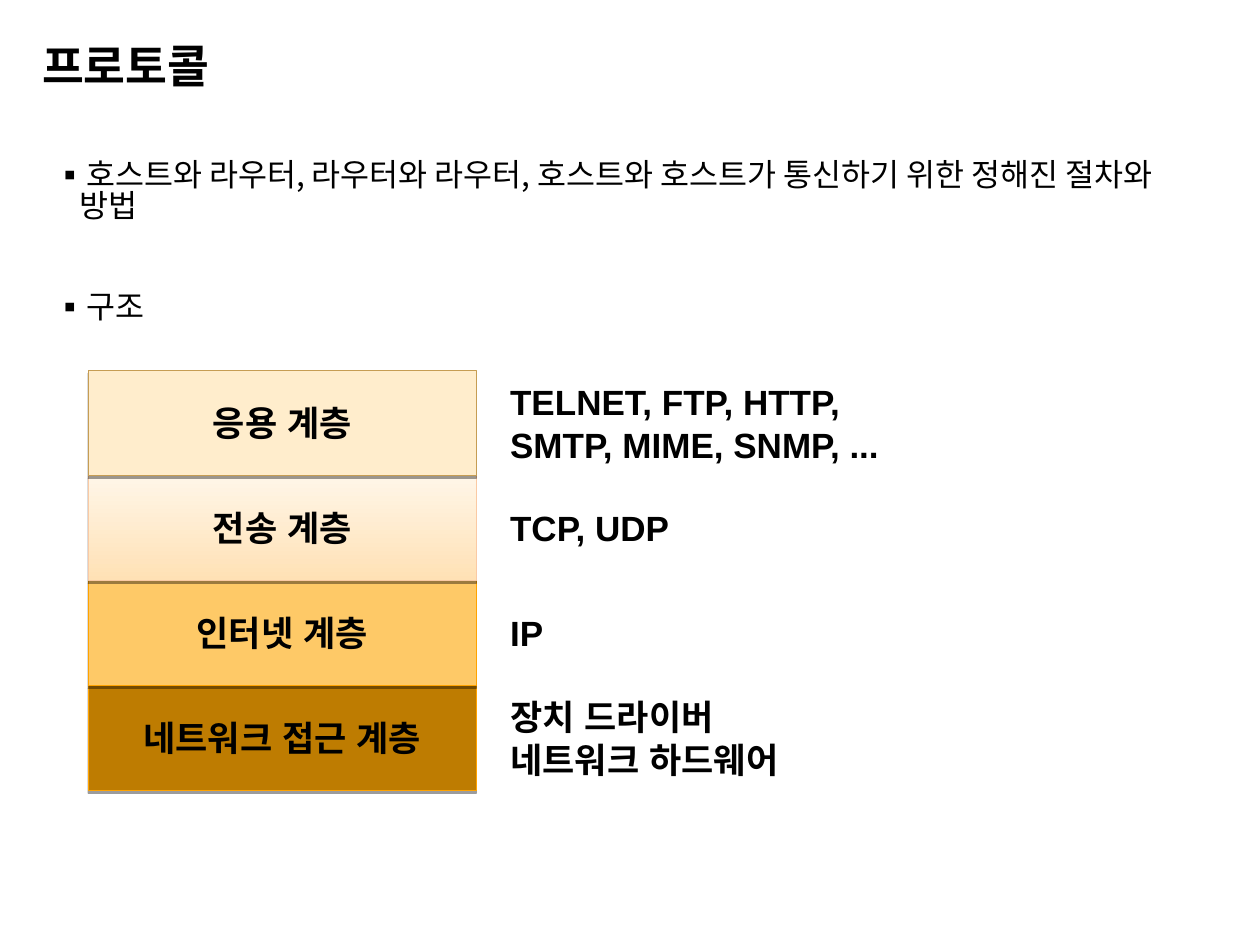
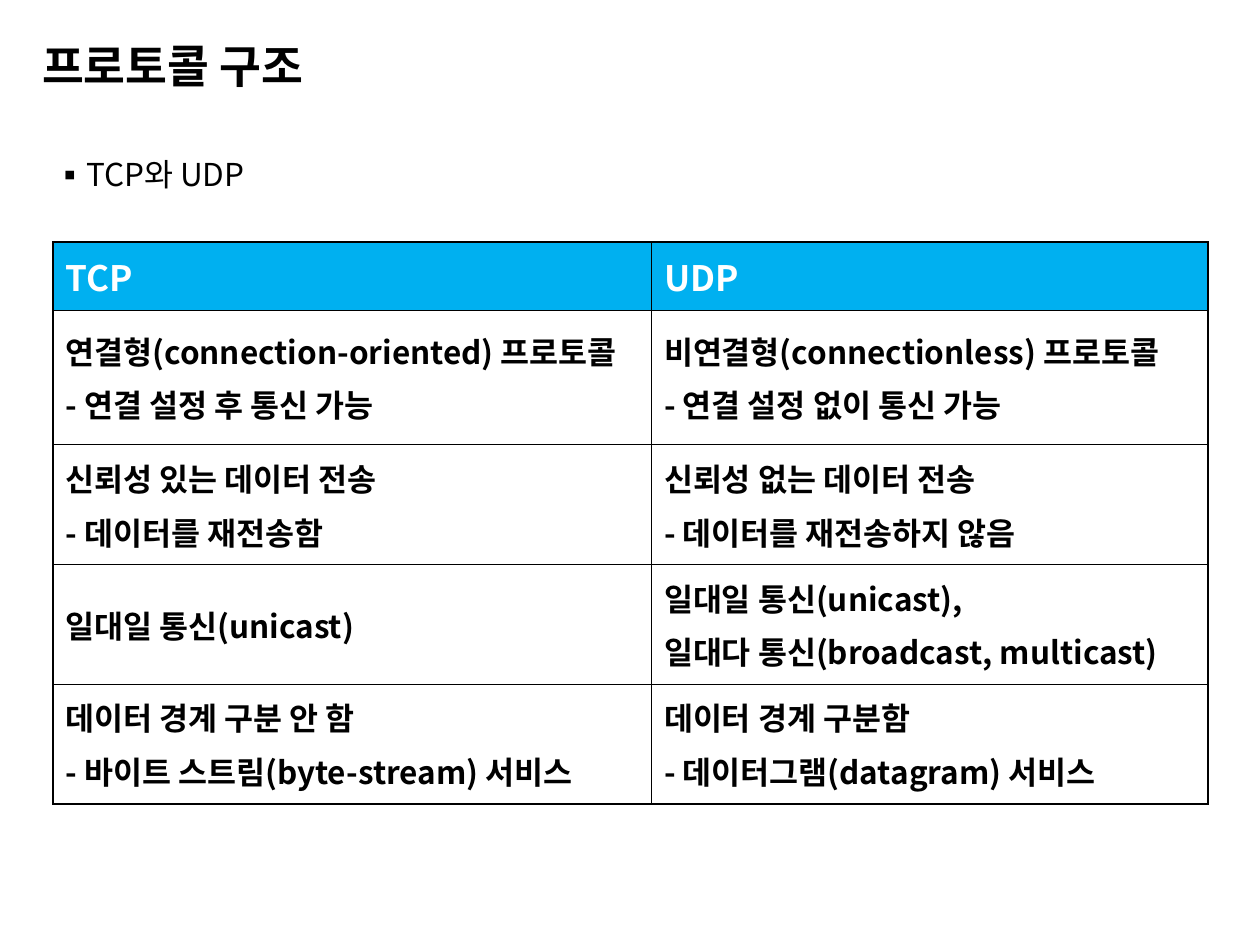
from pptx import Presentation
from pptx.dml.color import RGBColor
from pptx.enum.shapes import MSO_SHAPE
from pptx.enum.text import MSO_ANCHOR as Anchor, MSO_AUTO_SIZE as AutoSize, PP_ALIGN as Align
from pptx.oxml import parse_xml
from pptx.oxml.ns import nsdecls
from pptx.util import Inches, Pt

KOREAN, LATIN = "Noto Sans CJK KR", "Arial"
BLACK, WHITE, HEADER_BLUE = "000000", "FFFFFF", "00B0F0"
WIDTH, HEIGHT = 10, 7.5
MARGIN = WIDTH / 30
TITLE_BOX = (MARGIN, 0.3, WIDTH - 2 * MARGIN, 0.49)
BODY_BOX = (MARGIN, 1.23, WIDTH - 2 * MARGIN, 5.86)

PROTOCOL = {
    "title": "프로토콜",
    "bullets": [
        "호스트와 라우터, 라우터와 라우터, 호스트와 호스트가 통신하기 위한 정해진 절차와 방법",
        "구조",
    ],
}
LAYERS = [
    ("응용 계층", ["TELNET, FTP, HTTP,", "SMTP, MIME, SNMP, ..."], ["FFEDCC"], "C69D53"),
    ("전송 계층", ["TCP, UDP"], ["FFE1B5", "FFF6E8"], "FACAA4"),
    ("인터넷 계층", ["IP"], ["FEC967"], "FFA300"),
    ("네트워크 접근 계층", ["장치 드라이버", "네트워크 하드웨어"], ["BE7C01"], "FFA300"),
]
LAYER_LEFT, LAYER_TOP, LAYER_WIDTH, LAYER_HEIGHT = 0.7, 2.94, 3.08, HEIGHT / 9
EXAMPLE_LEFT, EXAMPLE_WIDTH = 3.95, WIDTH / 3

STRUCTURE = {"title": "프로토콜 구조", "bullets": ["TCP와 UDP"]}
COMPARISON = [
    (["TCP"], ["UDP"]),
    (["연결형(connection-oriented) 프로토콜", "- 연결 설정 후 통신 가능"],
     ["비연결형(connectionless) 프로토콜", "- 연결 설정 없이 통신 가능"]),
    (["신뢰성 있는 데이터 전송", "- 데이터를 재전송함"],
     ["신뢰성 없는 데이터 전송", "- 데이터를 재전송하지 않음"]),
    (["일대일 통신(unicast)"],
     ["일대일 통신(unicast),", "일대다 통신(broadcast, multicast)"]),
    (["데이터 경계 구분 안 함", "- 바이트 스트림(byte-stream) 서비스"],
     ["데이터 경계 구분함", "- 데이터그램(datagram) 서비스"]),
]
TABLE_LEFT, TABLE_TOP = 0.42, 1.92
COLUMN_WIDTHS = [4.75, 4.42]
ROW_HEIGHTS = [0.54, 1.07, 0.95, 0.95, 0.95]
OUTER_BORDER, INNER_BORDER = 1.08, 0.45


def color(value):
    return RGBColor.from_string(value)


def inches(box):
    return [Inches(length) for length in box]


def add_bullet(paragraph):
    properties = paragraph._p.get_or_add_pPr()
    properties.set("marL", str(Inches(0.2)))
    properties.set("indent", str(-Inches(0.2)))
    for element in (f'<a:buClr {nsdecls("a")}><a:srgbClr val="{BLACK}"/></a:buClr>',
                    f'<a:buFont {nsdecls("a")} typeface="{KOREAN}"/>',
                    f'<a:buChar {nsdecls("a")} char="▪"/>'):
        properties.append(parse_xml(element))


def write(frame, lines, size, font=KOREAN, fill=BLACK, bold=True, align=Align.LEFT,
          spacing=None, gap=0, bullet=False):
    for index, line in enumerate(lines):
        paragraph = frame.paragraphs[0] if index == 0 else frame.add_paragraph()
        if bullet:
            add_bullet(paragraph)
        paragraph.alignment = align
        paragraph.space_before = Pt(gap if index else 0)
        paragraph.space_after = Pt(0)
        if spacing:
            paragraph.line_spacing = spacing
        run = paragraph.add_run()
        run.text = line
        run.font.size, run.font.bold, run.font.name = Pt(size), bold, font
        run.font.color.rgb = color(fill)
        run.font._element.find("{*}latin").addnext(
            parse_xml(f'<a:ea {nsdecls("a")} typeface="{font}"/>'))


def place(placeholder, box, anchor, side_inset):
    placeholder.left, placeholder.top, placeholder.width, placeholder.height = inches(box)
    frame = placeholder.text_frame
    frame.auto_size, frame.word_wrap, frame.vertical_anchor = AutoSize.NONE, True, anchor
    frame.margin_left = frame.margin_right = Inches(side_inset)
    return frame


def add_content_slide(presentation, content):
    slide = presentation.slides.add_slide(presentation.slide_layouts[1])
    title = place(slide.shapes.title, TITLE_BOX, Anchor.MIDDLE, 0)
    write(title, [content["title"]], 26, spacing=0.9)
    body = place(slide.placeholders[1], BODY_BOX, Anchor.TOP, 0.1)
    write(body, content["bullets"], 18, bold=False, spacing=0.83, gap=39.6, bullet=True)
    return slide


def add_shadow(shape):
    shape.shadow.inherit = False
    shape._element.spPr.find("{*}effectLst").append(parse_xml(
        f'<a:outerShdw {nsdecls("a")} blurRad="0" dist="{Pt(1.6)}" dir="5400000" rotWithShape="0">'
        f'<a:srgbClr val="{BLACK}"><a:alpha val="38000"/></a:srgbClr></a:outerShdw>'))


def fill_layer(shape, colors):
    if len(colors) == 1:
        shape.fill.solid()
        shape.fill.fore_color.rgb = color(colors[0])
        return
    shape.fill.gradient()
    shape.fill.gradient_angle = 90
    for stop, value in zip(shape.fill.gradient_stops, colors):
        stop.color.rgb = color(value)


def add_layers(slide):
    for row, (name, examples, colors, outline) in reversed(list(enumerate(LAYERS))):
        top = LAYER_TOP + row * LAYER_HEIGHT
        layer = slide.shapes.add_shape(
            MSO_SHAPE.RECTANGLE, *inches((LAYER_LEFT, top, LAYER_WIDTH, LAYER_HEIGHT)))
        fill_layer(layer, colors)
        layer.line.color.rgb, layer.line.width = color(outline), Pt(0.75)
        add_shadow(layer)
        example = slide.shapes.add_textbox(
            *inches((EXAMPLE_LEFT, top, EXAMPLE_WIDTH, LAYER_HEIGHT)))
        for shape, lines, align in ((layer, [name], Align.CENTER),
                                    (example, examples, Align.LEFT)):
            frame = shape.text_frame
            frame.word_wrap, frame.vertical_anchor = shape is example, Anchor.MIDDLE
            write(frame, lines, 20, font=LATIN, align=align)


def add_borders(cell, row, column):
    outer_sides = {"L": column == 0, "R": column == len(COLUMN_WIDTHS) - 1,
                   "T": row == 0, "B": row == len(ROW_HEIGHTS) - 1}
    for side, outer in outer_sides.items():
        width = Pt(OUTER_BORDER if outer else INNER_BORDER)
        cell._tc.get_or_add_tcPr().append(parse_xml(
            f'<a:ln{side} {nsdecls("a")} w="{width}"><a:solidFill>'
            f'<a:srgbClr val="{BLACK}"/></a:solidFill></a:ln{side}>'))


def add_comparison(slide):
    box = (TABLE_LEFT, TABLE_TOP, sum(COLUMN_WIDTHS), sum(ROW_HEIGHTS))
    table = slide.shapes.add_table(len(ROW_HEIGHTS), len(COLUMN_WIDTHS), *inches(box)).table
    table.first_row = table.horz_banding = False
    for column, width in zip(table.columns, COLUMN_WIDTHS):
        column.width = Inches(width)
    for row, height in zip(table.rows, ROW_HEIGHTS):
        row.height = Inches(height)
    for row, texts in enumerate(COMPARISON):
        size, text_color, background = (18, BLACK, WHITE) if row else (20, WHITE, HEADER_BLUE)
        for column, lines in enumerate(texts):
            cell = table.cell(row, column)
            add_borders(cell, row, column)
            cell.fill.solid()
            cell.fill.fore_color.rgb = color(background)
            cell.vertical_anchor = Anchor.MIDDLE
            write(cell.text_frame, lines, size, fill=text_color, gap=4.5)


def main():
    presentation = Presentation()
    presentation.slide_width, presentation.slide_height = inches((WIDTH, HEIGHT))
    add_layers(add_content_slide(presentation, PROTOCOL))
    add_comparison(add_content_slide(presentation, STRUCTURE))
    presentation.save("out.pptx")


if __name__ == "__main__":
    main()
